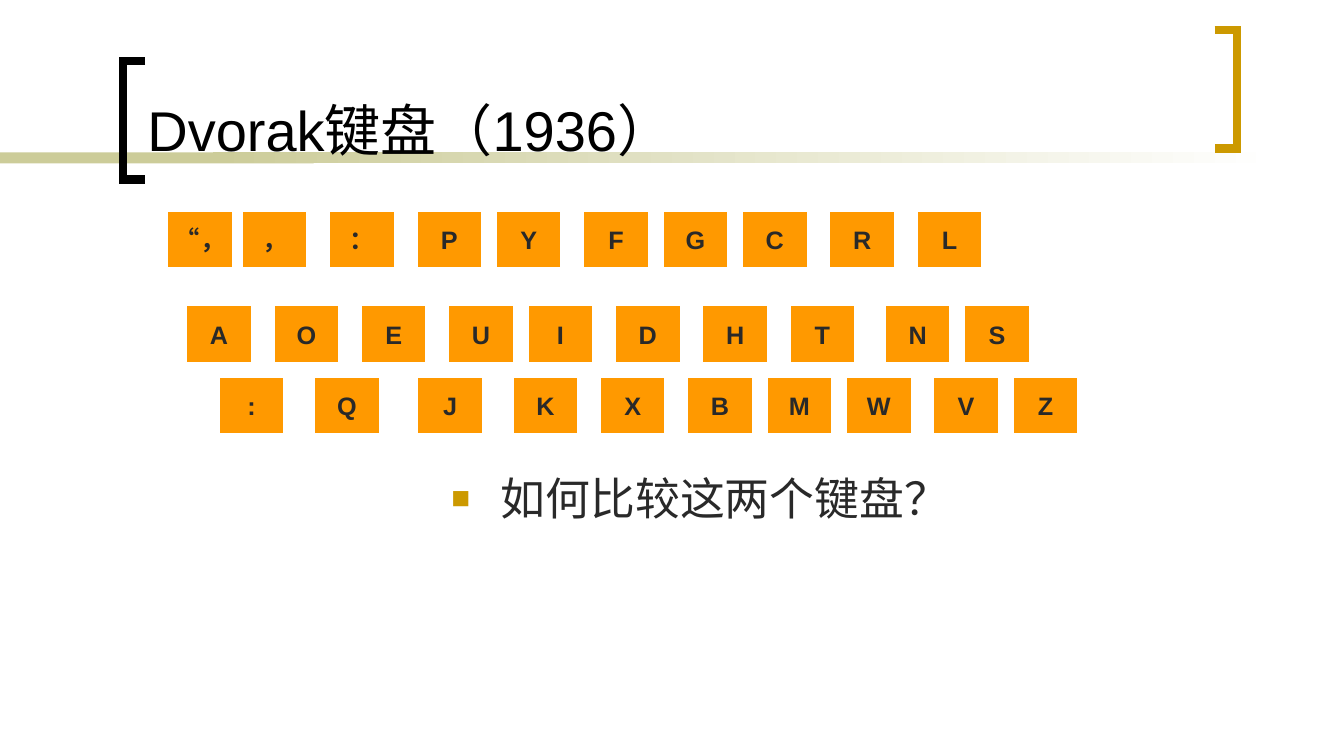
from itertools import accumulate

from lxml import etree
from pptx import Presentation
from pptx import util as u
from pptx.dml.color import RGBColor
from pptx.enum import shapes, text
from pptx.oxml import ns

BLACK = RGBColor(0x00, 0x00, 0x00)
INK = RGBColor(0x29, 0x29, 0x29)
WHITE = RGBColor(0xFF, 0xFF, 0xFF)
SAGE = RGBColor(0xCC, 0xCC, 0x99)
GOLD = RGBColor(0xCC, 0x99, 0x00)
AMBER = RGBColor(0xFF, 0x99, 0x00)

CELL = u.Cm(0.2)  # side of one grid square
KEY = (8, 7)      # columns and rows taken by a key

# Each row of keys: top, left, steps between keys, letters
ROWS = [
    (26.67, 21.2, [9.4, 11, 11, 10, 11, 10, 10, 11, 11],
     ["“，", "，", "：", *"PYFGCRL"]),
    (38.6, 23.6, [11, 11, 11, 10, 11, 11, 11, 12, 10], "AOEUIDHTNS"),
    (47.6, 27.7, [12, 13, 12, 11, 11, 10, 10, 11, 10], ":QJKXBMWVZ"),
]


def grid(*cells):
    return [u.Emu(round(n * CELL)) for n in cells]


class Deck:
    font = "Arial"

    def __init__(self):
        self.prs = Presentation()
        self.prs.slide_width, self.prs.slide_height = u.Inches(13.33), u.Inches(7.5)
        self.slide = self.prs.slides.add_slide(self.prs.slide_layouts[5])
        self.items = self.slide.shapes

    def run(self, para, words, size, color, bold=False):
        run = para.add_run()
        run.text = words
        run.font.name, run.font.size = self.font, u.Pt(size)
        run.font.bold, run.font.color.rgb = bold, color

    def box(self, kind, area, color, fade=None):
        box = self.items.add_shape(kind, *grid(*area))
        box.shadow.inherit = False
        box.line.fill.background()
        if fade is None:
            box.fill.solid()
            box.fill.fore_color.rgb = color
        else:
            box.fill.gradient()
            box.fill.gradient_angle = 0
            for stop, tone in zip(box.fill.gradient_stops, (color, fade)):
                stop.color.rgb = tone
        return box

    def bracket(self, spine, tip, top, color):
        x, end, y, low = grid(spine, tip, top, top + 14.9)
        pen = self.items.build_freeform(end, y)
        pen.add_line_segments([(x, y), (x, low), (end, low)], close=False)
        mark = pen.convert_to_shape()
        mark.shadow.inherit = False
        mark.fill.background()
        mark.line.color.rgb, mark.line.width = color, u.Pt(6)
        line = mark.line._get_or_add_ln()
        etree.SubElement(line, ns.qn("a:miter"), lim="800000")

    def title(self, area, words):
        head = self.items.title
        head.left, head.top, head.width, head.height = grid(*area)
        self.items._spTree.append(head._element)  # in front of the band
        frame = head.text_frame
        frame.auto_size = text.MSO_AUTO_SIZE.NONE
        frame.vertical_anchor = text.MSO_ANCHOR.BOTTOM
        para = frame.paragraphs[0]
        para.alignment = text.PP_ALIGN.LEFT
        self.run(para, words, 40, BLACK)

    def key(self, left, top, label):
        key = self.box(shapes.MSO_SHAPE.ACTION_BUTTON_CUSTOM, (left, top, *KEY), AMBER)
        frame = key.text_frame
        frame.word_wrap = False
        frame.vertical_anchor = text.MSO_ANCHOR.MIDDLE
        para = frame.paragraphs[0]
        para.alignment = text.PP_ALIGN.CENTER
        self.run(para, label, 18, INK, bold=True)

    def bullet(self, area, words):
        frame = self.items.add_textbox(*grid(*area)).text_frame
        frame.word_wrap = True
        para = frame.paragraphs[0]
        props = para._p.get_or_add_pPr()
        hang = u.Inches(0.49)
        props.set("marL", str(hang))
        props.set("indent", str(-hang))
        tint = etree.SubElement(props, ns.qn("a:buClr"))
        etree.SubElement(tint, ns.qn("a:srgbClr"), val=str(GOLD))
        etree.SubElement(props, ns.qn("a:buSzPct"), val="70000")
        etree.SubElement(props, ns.qn("a:buFont"), typeface=self.font)
        etree.SubElement(props, ns.qn("a:buChar"), char="■")
        self.run(para, words, 32, INK)


def main():
    deck = Deck()

    # Band and brackets around the title
    rect = shapes.MSO_SHAPE.RECTANGLE
    deck.box(rect, (0, 19.2, 39.5, 1.4), SAGE)
    deck.box(rect, (26.8, 19.2, 134.1, 1.4), SAGE, fade=WHITE)
    deck.bracket(15.5, 18.3, 7.7, BLACK)
    deck.bracket(155.8, 153, 3.8, GOLD)
    deck.title((17.3, 1.4, 132.6, 19.7), "Dvorak键盘（1936）")

    # Keyboard
    for top, left, steps, labels in ROWS:
        for x, label in zip(accumulate(steps, initial=left), labels):
            deck.key(x, top, label)

    # Question
    deck.bullet((55.6, 58.7, 84.3, 25), "如何比较这两个键盘？")

    deck.prs.save("out.pptx")


if __name__ == "__main__":
    main()
